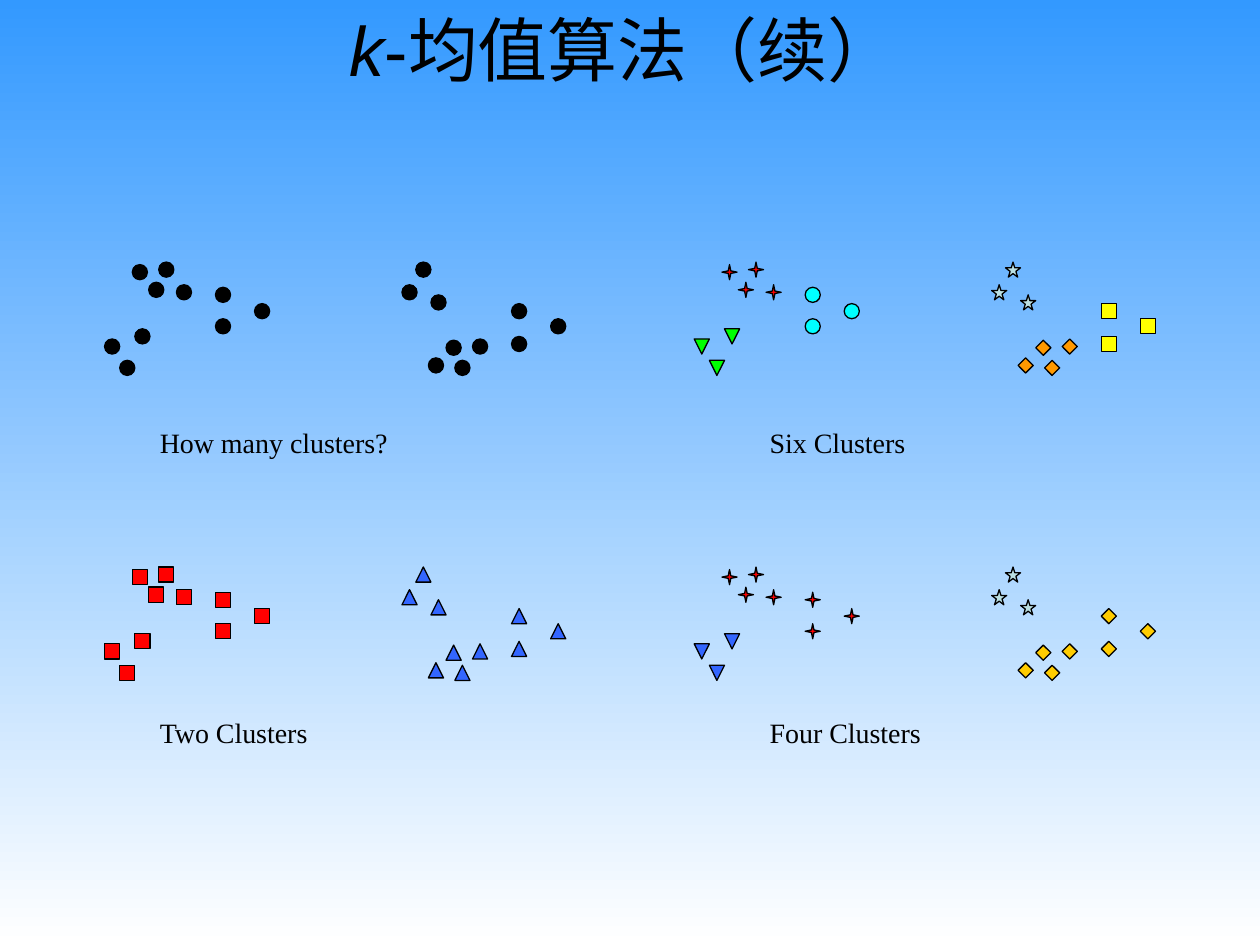
import dataclasses

import lxml.etree
import pptx
import pptx.dml.color
import pptx.enum.shapes
import pptx.enum.text
import pptx.oxml.ns
import pptx.util

Inches = pptx.util.Inches
Pt = pptx.util.Pt
RGB = pptx.dml.color.RGBColor.from_string
Shape = pptx.enum.shapes.MSO_SHAPE


@dataclasses.dataclass(frozen=True)
class Theme:
    title_font: str = "Arial"
    cjk_font: str = "Noto Sans CJK SC"
    caption_font: str = "Times New Roman"
    title_size: int = 40
    caption_size: int = 16
    outline_width: float = 0.75
    marker_size: float = 0.12
    ink: str = "000000"
    sky: str = "3399FF"
    white: str = "FFFFFF"
    red: str = "FF0000"
    blue: str = "3366FF"
    pale: str = "BBE0E3"
    gold: str = "FFCC00"
    orange: str = "FF9900"
    yellow: str = "FFFF00"
    green: str = "00FF00"
    cyan: str = "00FFFF"


THEME = Theme()

# Marker positions of the first panel, split into its six natural clusters
CLUSTERS = {
    "right_bottom": [(3.75, 2.69), (3.4, 2.84), (3.61, 2.86), (3.54, 2.7)],
    "right_top": [(3.42, 2.34), (3.19, 2.26), (3.3, 2.08)],
    "right_side": [(4.06, 2.67), (4.37, 2.53), (4.06, 2.41)],
    "left_top": [(1.4, 2.26), (1.05, 2.1), (1.26, 2.08), (1.18, 2.24)],
    "left_bottom": [(1.07, 2.61), (0.83, 2.69), (0.95, 2.86)],
    "left_side": [(1.71, 2.28), (2.02, 2.41), (1.71, 2.53)],
}
PANEL_DX, PANEL_DY = 4.68, 2.42
CAPTION_X, CAPTION_Y = 1.17, 3.33
CAPTION_DX, CAPTION_DY = 4.84, 2.3

DOT = (Shape.OVAL, THEME.ink)
SQUARE = (Shape.RECTANGLE, THEME.red)
TRIANGLE = (Shape.ISOSCELES_TRIANGLE, THEME.blue)
SPARK = (Shape.STAR_4_POINT, THEME.red)
STAR = (Shape.STAR_5_POINT, THEME.pale)
GOLD_DIAMOND = (Shape.DIAMOND, THEME.gold)

# Caption, column, row, and one marker per cluster in the order of CLUSTERS
PANELS = [
    ("How many clusters?", 0, 0, [DOT] * 6),
    ("Four Clusters", 1, 1,
     [GOLD_DIAMOND, STAR, GOLD_DIAMOND, SPARK,
      (Shape.FLOWCHART_MERGE, THEME.blue), SPARK]),
    ("Two Clusters", 0, 1, [TRIANGLE] * 3 + [SQUARE] * 3),
    ("Six Clusters", 1, 0,
     [(Shape.DIAMOND, THEME.orange), STAR, (Shape.RECTANGLE, THEME.yellow),
      SPARK, (Shape.FLOWCHART_MERGE, THEME.green), (Shape.OVAL, THEME.cyan)]),
]


class SlideBuilder:
    def __init__(self, prs, theme):
        self.theme = theme
        self.slide = prs.slides.add_slide(prs.slide_layouts[5])

    def background(self):
        fill = self.slide.background.fill
        fill.gradient()
        fill.gradient_angle = 270
        for stop, color in zip(fill.gradient_stops, (self.theme.sky, self.theme.white)):
            stop.color.rgb = RGB(color)

    def title(self, pieces):
        """Fill the title from (text, italic, font) pieces."""
        sp = self.slide.shapes.title
        sp.left, sp.top = Inches(0.42), Inches(0.17)
        sp.width, sp.height = Inches(9.06), Inches(0.6)
        tf = sp.text_frame
        tf.word_wrap = True
        tf.auto_size = pptx.enum.text.MSO_AUTO_SIZE.NONE
        tf.vertical_anchor = pptx.enum.text.MSO_ANCHOR.BOTTOM
        p = tf.paragraphs[0]
        p.alignment = pptx.enum.text.PP_ALIGN.CENTER
        p.font.size = Pt(self.theme.title_size)
        p.font.color.rgb = RGB(self.theme.ink)
        for text, italic, font in pieces:
            r = p.add_run()
            r.text = text
            r.font.size = Pt(self.theme.title_size)
            r.font.color.rgb = RGB(self.theme.ink)
            r.font.italic = italic
            r.font.name = font
            lxml.etree.SubElement(r.font._element, pptx.oxml.ns.qn("a:ea"),
                                  typeface=self.theme.cjk_font)

    def marker(self, shapes, kind, color, x, y):
        size = Inches(self.theme.marker_size)
        sp = shapes.add_shape(kind, Inches(x), Inches(y), size, size)
        sp.shadow.inherit = False
        sp.fill.solid()
        sp.fill.fore_color.rgb = RGB(color)
        sp.line.color.rgb = RGB(self.theme.ink)
        sp.line.width = Pt(self.theme.outline_width)
        if kind == Shape.STAR_4_POINT:
            sp.adjustments[0] = 0.12

    def caption(self, shapes, text, x, y):
        tf = shapes.add_textbox(Inches(x), Inches(y), Inches(2.5), Inches(0.37)).text_frame
        tf.word_wrap = True
        tf.auto_size = pptx.enum.text.MSO_AUTO_SIZE.SHAPE_TO_FIT_TEXT
        p = tf.paragraphs[0]
        p.text = text
        p.font.name = self.theme.caption_font
        p.font.size = Pt(self.theme.caption_size)
        p.font.color.rgb = RGB(self.theme.ink)

    def panel(self, text, column, row, markers):
        """Draw one grouped scatter with a marker style for each cluster."""
        shapes = self.slide.shapes.add_group_shape().shapes
        for points, (kind, color) in zip(CLUSTERS.values(), markers):
            for x, y in points:
                self.marker(shapes, kind, color, x + column * PANEL_DX, y + row * PANEL_DY)
        self.caption(shapes, text, CAPTION_X + column * CAPTION_DX,
                     CAPTION_Y + row * CAPTION_DY)


def main():
    prs = pptx.Presentation()
    prs.slide_width, prs.slide_height = Inches(10), Inches(7.5)
    builder = SlideBuilder(prs, THEME)
    builder.background()
    for panel in PANELS:
        builder.panel(*panel)
    builder.title([
        ("k", True, THEME.title_font),
        ("-", False, THEME.title_font),
        ("均值算法（续）", False, THEME.cjk_font),
    ])
    prs.save("out.pptx")


if __name__ == "__main__":
    main()
